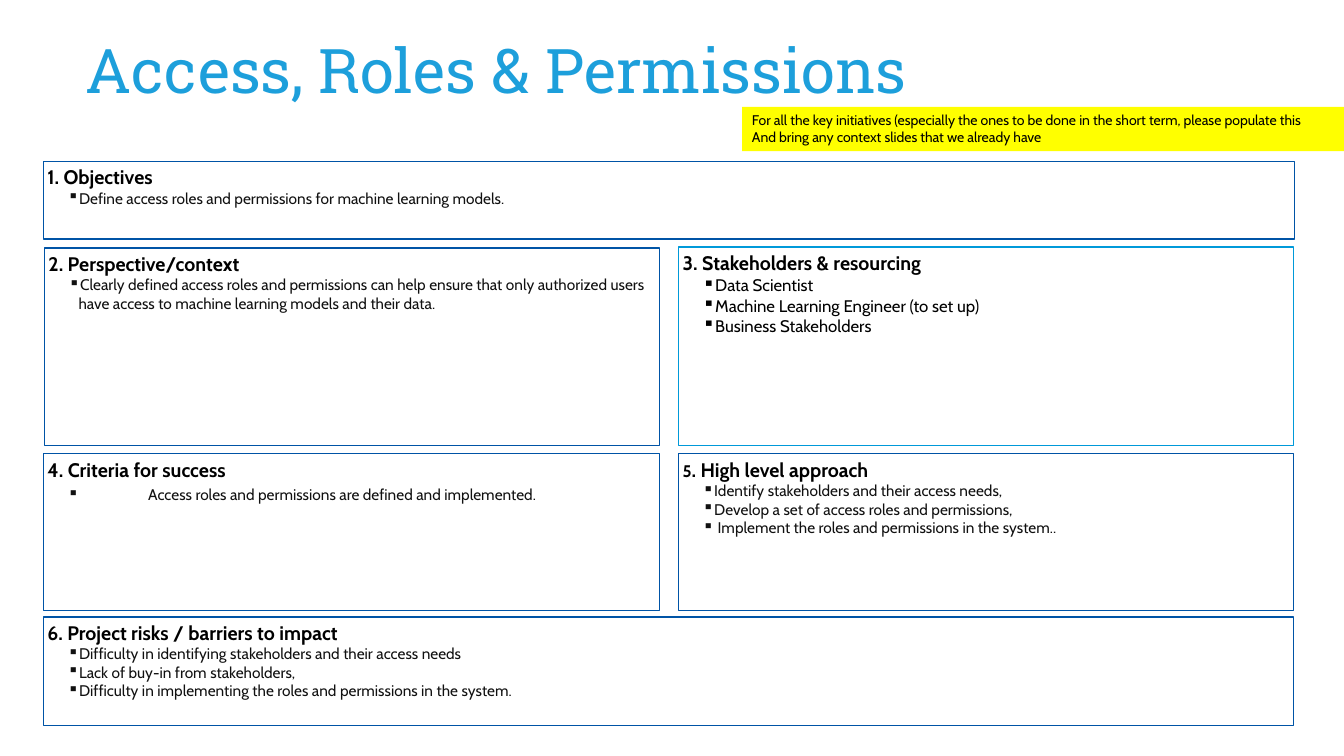
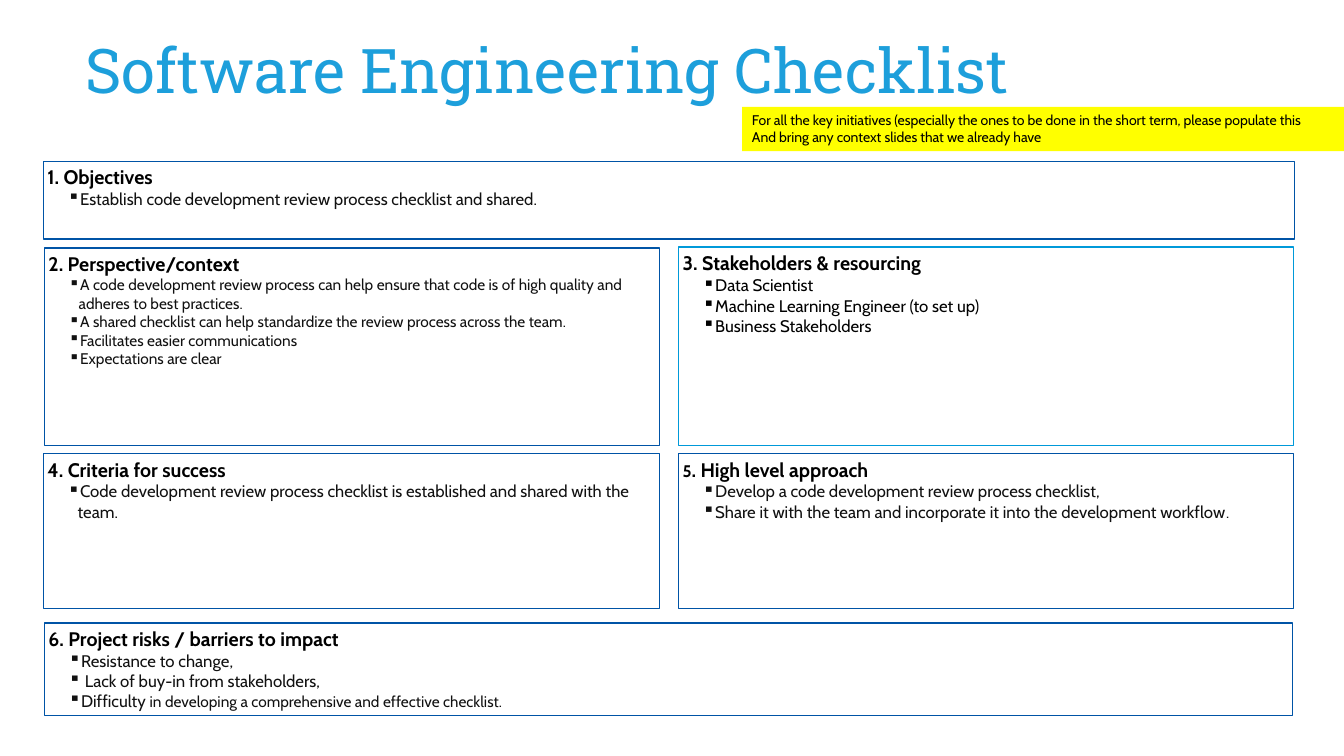
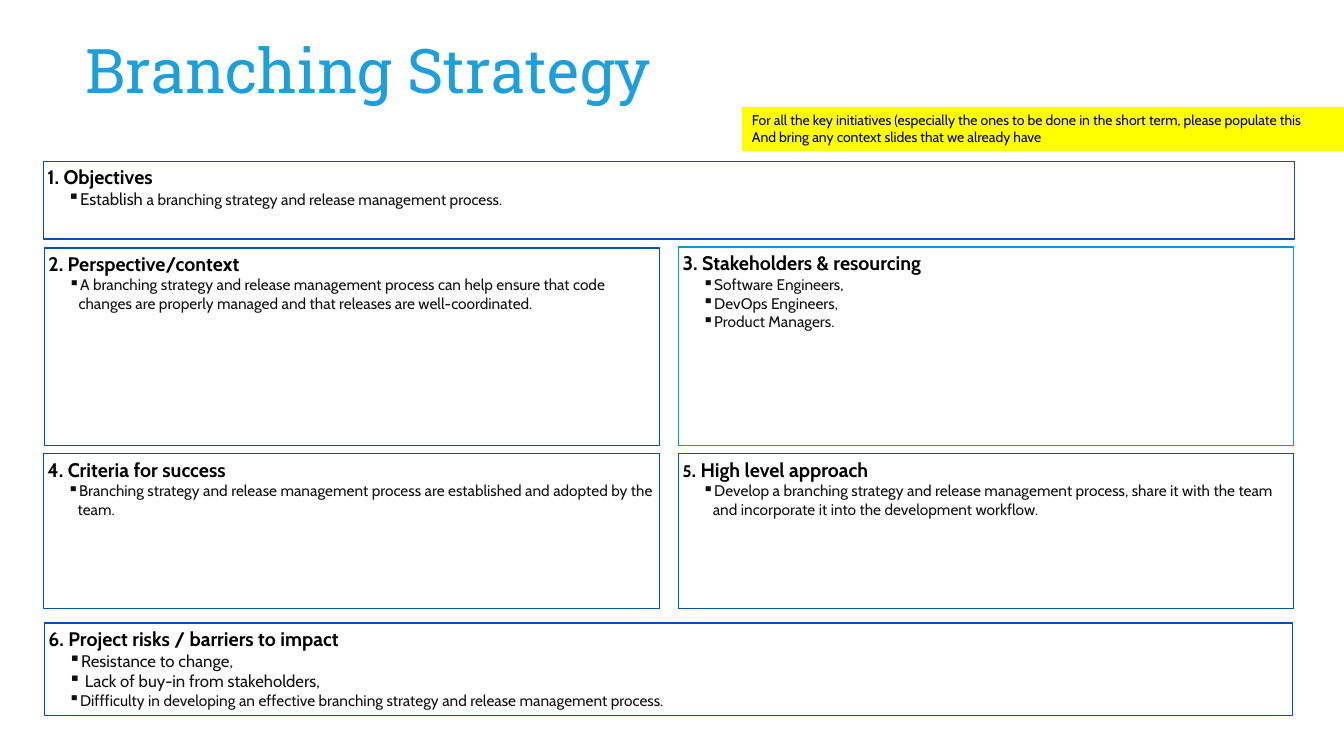
from dataclasses import dataclass

from pptx import Presentation
from pptx.dml.color import RGBColor as RGB
from pptx.enum.shapes import MSO_SHAPE as Shape
from pptx.enum.text import MSO_ANCHOR as Anchor, MSO_AUTO_SIZE as Fit, PP_ALIGN as Align
from pptx.oxml.xmlchemy import OxmlElement as Element
from pptx.util import Inches, Pt


@dataclass(frozen=True)
class Theme:
    sky: RGB = RGB(0x1D, 0x9F, 0xDB)
    navy: RGB = RGB(0x00, 0x54, 0xA6)
    cyan: RGB = RGB(0x00, 0x99, 0xD9)
    yellow: RGB = RGB(0xFF, 0xFF, 0x00)
    black: RGB = RGB(0x00, 0x00, 0x00)
    ink: RGB = RGB(0x11, 0x11, 0x11)
    serif: str = "Roboto Slab"
    sans: str = "Cabin"
    title: int = 44
    head: int = 14
    large: int = 12
    body: int = 11
    note: int = 10


T = Theme()
B, L = T.body, T.large

NOTE = [
    "For all the key initiatives (especially the ones to be done in the short term, please populate this",
    "And bring any context slides that we already have",
]

# Each head, and each bullet below, is a list of (size, text) runs.
HEADS = [
    [(T.head, "1. Objectives")],
    [(T.head, "2. Perspective/context")],
    [(T.head, "3. Stakeholders & resourcing")],
    [(T.head, "4. Criteria for success")],
    [(L, "5"), (T.head, ". High level approach")],
    [(T.head, "6. Project risks / barriers to impact")],
]

TEAM = [
    [(L, "Data Scientist")],
    [(L, "Machine Learning Engineer (to set up)")],
    [(L, "Business Stakeholders")],
]
RISKS = [
    [(L, "Resistance to change,")],
    [(L, " Lack of buy-in from stakeholders,")],
]

# Height of the fourth row, place of the risks box, ink of the team list, hang of the criteria.
ROOMY = {"row": 1.56, "risks": (0.43, 6.12, 12.4, 1.08), "team": T.black, "hang": 0.8}
TIGHT = {"row": 1.54, "risks": (0.44, 6.18, 12.38, 0.92), "team": T.black, "hang": 0.1}

PAGES = [
    ("Access, Roles & Permissions", ROOMY, [
        [[(B, "Define access roles and permissions for machine learning models.")]],
        [[(B, "Clearly defined access roles and permissions can help ensure that only authorized users "
              "have access to machine learning models and their data.")]],
        TEAM,
        [[(B, "Access roles and permissions are defined and implemented.")]],
        [[(B, "Identify stakeholders and their access needs,")],
         [(B, "Develop a set of access roles and permissions,")],
         [(B, " Implement the roles and permissions in the system..")]],
        [[(B, "Difficulty in identifying stakeholders and their access needs")],
         [(B, "Lack of buy-in from stakeholders,")],
         [(B, "Difficulty in implementing the roles and permissions in the system.")]],
    ]),
    ("Software Engineering Checklist", TIGHT, [
        [[(L, "Establish code development review process checklist and shared.")]],
        [[(B, "A code development review process can help ensure that code is of high quality and "
              "adheres to best practices.")],
         [(B, "A shared checklist can help standardize the review process across the team.")],
         [(B, "Facilitates easier communications")],
         [(B, "Expectations are clear")]],
        TEAM,
        [[(L, "Code development review process checklist is established and shared with the team.")]],
        [[(L, "Develop a code development review process checklist,")],
         [(L, "Share it with the team and incorporate it into the development workflow"), (B, ".")]],
        RISKS + [[(L, "Difficulty "), (B, "in developing a comprehensive and effective checklist.")]],
    ]),
    ("Branching Strategy", TIGHT | {"team": T.ink}, [
        [[(L, "Establish "), (B, "a branching strategy and release management process.")]],
        [[(B, "A branching strategy and release management process can help ensure that code "
              "changes are properly managed and that releases are well-coordinated.")]],
        [[(B, "Software Engineers,")], [(B, "DevOps Engineers,")], [(B, "Product Managers.")]],
        [[(B, "Branching strategy and release management process are established and adopted by the team.")]],
        [[(B, "Develop a branching strategy and release management process, share it with the team "
              "and incorporate it into the development workflow.")]],
        RISKS + [[(B, "Diffficulty in developing an effective branching strategy and release "
                      "management process.")]],
    ]),
]


def write(para, runs, color, bold=False, face=T.sans):
    para.alignment = Align.LEFT
    for size, text in runs:
        run = para.add_run()
        run.text = text
        run.font.color.rgb = color
        for key, value in {"name": face, "size": Pt(size), "bold": bold}.items():
            setattr(run.font, key, value)


def bullet(para, runs, color, hang=0.1):
    """Write a square-bulleted line whose text starts one hang after the mark."""
    write(para, runs, color)
    props = para._p.get_or_add_pPr()
    props.set("marL", str(Inches(0.2 + hang)))
    props.set("indent", str(Inches(-hang)))
    mark = Element("a:buChar")
    mark.set("char", "▪")
    props.append(mark)


deck = Presentation()
deck.slide_width, deck.slide_height = Inches(13.33), Inches(7.5)
SNUG = {f"margin_{side}": Inches(0.04) for side in ("left", "top", "right", "bottom")}
SNUG |= {"word_wrap": True, "vertical_anchor": Anchor.TOP}

for name, plan, lists in PAGES:
    slide = deck.slides.add_slide(deck.slide_layouts[5])
    title = slide.shapes.title
    for key, value in zip(("left", "top", "width", "height"), (0.75, 0.14, 11.7, 1.17)):
        setattr(title, key, Inches(value))
    frame = title.text_frame
    frame.auto_size, frame.vertical_anchor = Fit.NONE, Anchor.MIDDLE
    frame.paragraphs[0].line_spacing = 0.9
    write(frame.paragraphs[0], [(T.title, name)], T.sky, face=T.serif)

    places = [
        (0.43, 1.6, 12.41, 0.77),
        (0.44, 2.46, 6.1, 1.96),
        (6.73, 2.45, 6.1, 1.97),
        (0.43, 4.5, 6.11, plan["row"]),
        (6.73, 4.5, 6.1, plan["row"]),
        plan["risks"],
    ]
    for num, (place, head, items) in enumerate(zip(places, HEADS, lists), 1):
        box = slide.shapes.add_shape(Shape.RECTANGLE, *map(Inches, place))
        box.shadow.inherit = False
        box.fill.background()
        box.line.color.rgb = T.cyan if num == 3 else T.navy
        box.line.width = Pt(1)
        frames = [box.text_frame]
        write(box.text_frame.paragraphs[0], head, T.black, bold=True)
        if num == 3:
            team = slide.shapes.add_textbox(*map(Inches, (6.73, 2.69, 6.1, 1.73)))
            frames.append(team.text_frame)
        for frame in frames:
            for key, value in SNUG.items():
                setattr(frame, key, value)
        if num in (3, 6):
            frames[-1]._txBody.bodyPr.set("numCol", "2")
        for pos, runs in enumerate(items):
            first = num == 3 and pos == 0
            para = frames[-1].paragraphs[0] if first else frames[-1].add_paragraph()
            hang = plan["hang"] if num == 4 else 0.1
            bullet(para, runs, plan["team"] if num == 3 else T.ink, hang)
            if hang > 0.1:
                para.space_before = Pt(3)

    note = slide.shapes.add_shape(Shape.RECTANGLE, *map(Inches, (7.36, 1.06, 5.97, 0.44)))
    note.shadow.inherit = False
    note.fill.solid()
    note.fill.fore_color.rgb = T.yellow
    note.line.fill.background()
    frame = note.text_frame
    frame.word_wrap, frame.vertical_anchor = True, Anchor.TOP
    frame.auto_size = Fit.SHAPE_TO_FIT_TEXT
    for para, text in zip((frame.paragraphs[0], frame.add_paragraph()), NOTE):
        write(para, [(T.note, text)], T.black)

deck.save("out.pptx")
